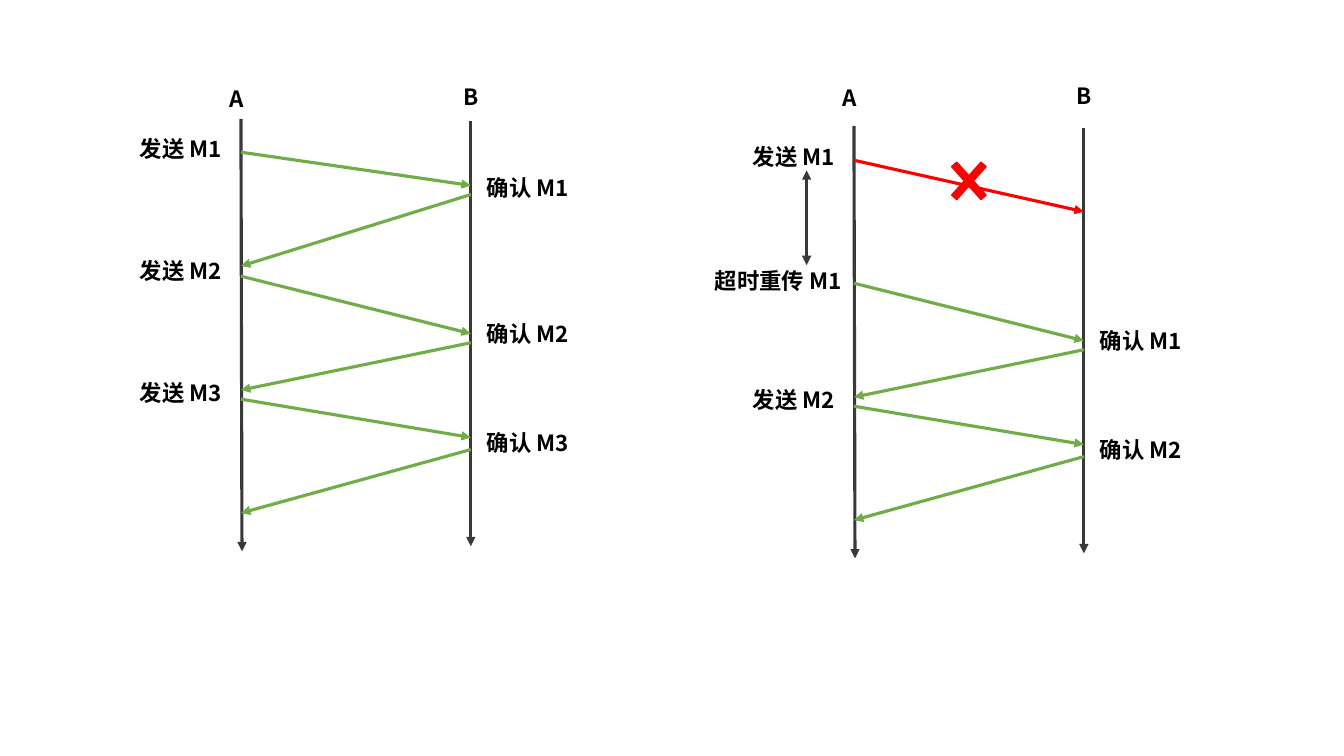
from lxml import etree
from pptx import Presentation
from pptx.dml.color import RGBColor
from pptx.enum.shapes import MSO_CONNECTOR, MSO_SHAPE
from pptx.enum.text import MSO_AUTO_SIZE
from pptx.oxml.ns import qn
from pptx.util import Inches, Pt

STRAIGHT = MSO_CONNECTOR.STRAIGHT
CROSS = MSO_SHAPE.MATH_MULTIPLY
GROW = MSO_AUTO_SIZE.SHAPE_TO_FIT_TEXT
FONT = "Noto Sans CJK SC"
DARK, GREEN, RED, BLACK = "3B3838", "70AD47", "FF0000", "000000"
SPAN = 2.28
LATER = [(1.56, 2.13), (2.22, 2.69), (2.78, 3.16), (3.28, 3.91)]


def color(code):
    """Turn a hex string into a colour."""
    return RGBColor.from_string(code)


def arrow(slide, start, end, code, both=False):
    """Draw a straight arrow with a head at its end or at both ends."""
    line = slide.shapes.add_connector(STRAIGHT, *map(Inches, start + end))
    line.line.color.rgb = color(code)
    line.line.width = Pt(2.25)
    props = line._element.spPr
    for tag in ("a:headEnd", "a:tailEnd") if both else ("a:tailEnd",):
        etree.SubElement(props.find(qn("a:ln")), qn(tag), type="triangle")
    etree.SubElement(props, qn("a:effectLst"))


def label(slide, text, left, top, width=1.26):
    """Write a bold label."""
    box = slide.shapes.add_textbox(*map(Inches, (left, top, width, 0.37)))
    frame = box.text_frame
    frame.word_wrap = True
    frame.auto_size = GROW
    para = frame.paragraphs[0]
    para.text = text
    font = para.font
    font.size = Pt(16)
    font.bold = True
    font.color.rgb = color(BLACK)
    font.name = FONT
    base = para._p.pPr.find(qn("a:defRPr"))
    etree.SubElement(base, qn("a:ea"), typeface=FONT)


def panel(slide, left, top, heads, trips, sends, acks):
    """Draw two lifelines with their messages and labels."""
    right = left + SPAN
    arrow(slide, (left, top), (left + 0.01, top + 4.29), DARK)
    arrow(slide, (right, top + 0.02), (right, top + 4.24), DARK)
    for i, (start, end) in enumerate(trips):
        ends = (left, right) if i % 2 == 0 else (right, left)
        arrow(slide, (ends[0], top + start), (ends[1], top + end), GREEN)
    for prefix, shift, drops in (("发送", -1.1, sends), ("确认", 2.34, acks)):
        for name, drop in drops.items():
            label(slide, f"{prefix} {name}", left + shift, top + drop)
    label(slide, "A", left - 0.21, heads, 0.47)
    label(slide, "B", left + 2.11, heads - 0.02, 0.47)


def normal(slide, left, top):
    """Draw the exchange without loss."""
    trips = [(0.33, 0.66), (0.75, 1.46)] + LATER
    sends = {"M1": 0.11, "M2": 1.32, "M3": 2.53}
    acks = {"M1": 0.5, "M2": 1.95, "M3": 3.03}
    panel(slide, left, top, 0.8, trips, sends, acks)


def resend(slide, left, top):
    """Draw the exchange with a lost message and a timeout."""
    sends, acks = {"M1": 0.12, "M2": 2.53}, {"M1": 1.95, "M2": 3.03}
    panel(slide, left, top, 0.79, LATER, sends, acks)
    arrow(slide, (left, top + 0.34), (left + SPAN, top + 0.85), RED)
    wait = left - 0.47
    arrow(slide, (wait, top + 0.44), (wait, top + 1.38), DARK, True)
    label(slide, "超时重传 M1", left - 1.48, top + 1.35, 1.48)
    area = (left + 0.86, top + 0.23, 0.56, 0.63)
    cross = slide.shapes.add_shape(CROSS, *map(Inches, area))
    cross.adjustments[0] = 0.121
    cross.shadow.inherit = False
    cross.fill.solid()
    cross.fill.fore_color.rgb = color(RED)
    cross.line.color.rgb = color(RED)
    cross.line.width = Pt(1)


def main():
    """Build and save the slide."""
    deck = Presentation()
    deck.slide_width, deck.slide_height = Inches(13.33), Inches(7.5)
    slide = deck.slides.add_slide(deck.slide_layouts[6])
    normal(slide, 2.39, 1.18)
    resend(slide, 8.47, 1.25)
    deck.save("out.pptx")


if __name__ == "__main__":
    main()
